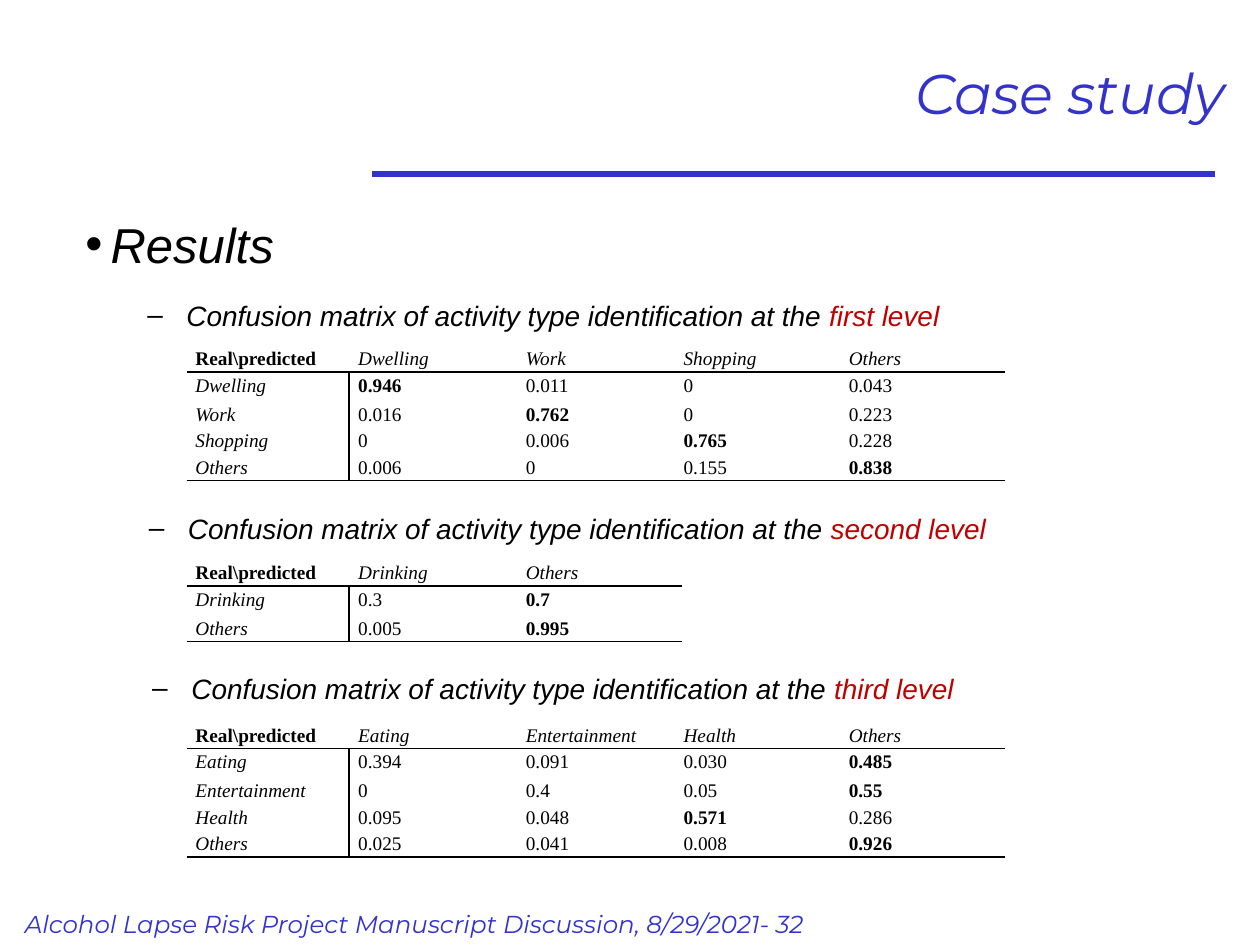
from dataclasses import dataclass

from lxml import etree
from pptx import Presentation
from pptx.dml.color import RGBColor
from pptx.enum.text import MSO_ANCHOR as Anchor, MSO_AUTO_SIZE as AutoSize, PP_ALIGN as Align
from pptx.oxml.ns import qn
from pptx.slide import Slide
from pptx.util import Cm, Pt

COLORS = {"accent": "3333CC", "text": "000000", "level": "C00000"}
HEADING_FONT, BODY_FONT, TABLE_FONT = "Montserrat", "Arial", "Times New Roman"

TABLE_LEFT = 3.76
LABEL_WIDTH, FIRST_WIDTH, MIDDLE_WIDTH, LAST_WIDTH = 3.28, 3.38, 3.18, 3.33
ROW_HEIGHT, FIRST_ROW_HEIGHT = 0.46, 0.58

# level, caption (left, top, width), table top, classes, matrix values
LEVELS = [
    ("first level", (1.88, 5.61, 17.53), 6.96,
     ["Dwelling", "Work", "Shopping", "Others"],
     [["0.946", "0.011", "0", "0.043"],
      ["0.016", "0.762", "0", "0.223"],
      ["0", "0.006", "0.765", "0.228"],
      ["0.006", "0", "0.155", "0.838"]]),
    ("second level", (1.91, 9.91, 18.44), 11.28,
     ["Drinking", "Others"],
     [["0.3", "0.7"],
      ["0.005", "0.995"]]),
    ("third level", (1.98, 13.13, 18.03), 14.55,
     ["Eating", "Entertainment", "Health", "Others"],
     [["0.394", "0.091", "0.030", "0.485"],
      ["0", "0.4", "0.05", "0.55"],
      ["0.095", "0.048", "0.571", "0.286"],
      ["0.025", "0.041", "0.008", "0.926"]]),
]


def rgb(name):
    return RGBColor.from_string(COLORS[name])


def set_font(font, name, size, color="text", bold=False, italic=True):
    font.name, font.size = name, Pt(size)
    font.bold, font.italic = bold, italic
    font.color.rgb = rgb(color)


def set_bullet(paragraph, char, margin, indent):
    """Hang a bullet character; margin and indent are in centimetres."""
    properties = paragraph._p.get_or_add_pPr()
    properties.set("marL", str(Cm(margin)))
    properties.set("indent", str(Cm(indent)))
    etree.SubElement(properties, qn("a:buFont"), typeface=BODY_FONT)
    etree.SubElement(properties, qn("a:buChar"), char=char)


def set_borders(cell, black_sides):
    """Rule the given sides (of "LRTB") in black and clear the others."""
    properties = cell._tc.get_or_add_tcPr()
    for side in "LRTB":
        border = etree.SubElement(properties, qn(f"a:ln{side}"), w=str(Pt(1)))
        if side in black_sides:
            fill = etree.SubElement(border, qn("a:solidFill"))
            etree.SubElement(fill, qn("a:srgbClr"), val=COLORS["text"])
        else:
            etree.SubElement(border, qn("a:noFill"))


@dataclass
class SlideBuilder:
    slide: Slide

    def rule(self, left, right, y, width):
        line = self.slide.shapes.add_connector(1, Cm(right), Cm(y), Cm(left), Cm(y))
        line.line.color.rgb = rgb("accent")
        line.line.width = Pt(width)
        etree.SubElement(line._element.spPr, qn("a:effectLst"))

    def text(self, left, top, width, height, parts, font, size, color="text",
             anchor=Anchor.TOP, align=Align.LEFT, grow=False):
        """Add one paragraph of (words, colour or None) parts and return it."""
        frame = self.slide.shapes.add_textbox(
            Cm(left), Cm(top), Cm(width), Cm(height)).text_frame
        frame.word_wrap = True
        frame.vertical_anchor = anchor
        frame.auto_size = AutoSize.SHAPE_TO_FIT_TEXT if grow else AutoSize.NONE
        paragraph = frame.paragraphs[0]
        paragraph.alignment = align
        set_font(paragraph.font, font, size, color)
        for words, part_color in parts:
            run = paragraph.add_run()
            run.text = words
            if part_color:
                run.font.color.rgb = rgb(part_color)
        return paragraph

    def bullet(self, left, top, width, height, parts, size, char, margin, indent, **layout):
        paragraph = self.text(left, top, width, height, parts, BODY_FONT, size, **layout)
        paragraph.line_spacing = 1.5
        set_bullet(paragraph, char, margin, indent)

    def confusion_matrix(self, top, classes, values):
        """Add a matrix whose largest value in each row is bold."""
        widths = [LABEL_WIDTH, FIRST_WIDTH,
                  *[MIDDLE_WIDTH, LAST_WIDTH][:len(classes) - 2], LAST_WIDTH]
        heights = [ROW_HEIGHT, FIRST_ROW_HEIGHT] + [ROW_HEIGHT] * (len(classes) - 1)
        table = self.slide.shapes.add_table(
            len(heights), len(widths), Cm(TABLE_LEFT), Cm(top),
            Cm(sum(widths)), Cm(sum(heights))).table
        table.first_row = table.horz_banding = False
        for column, width in zip(table.columns, widths):
            column.width = Cm(width)
        for row, height in zip(table.rows, heights):
            row.height = Cm(height)

        rows = [["Real\\predicted", *classes]]
        rows += [[name, *numbers] for name, numbers in zip(classes, values)]
        for r, row in enumerate(rows):
            largest = max(row[1:], key=float) if r else row[0]
            for c, words in enumerate(row):
                sides = "B" if r in (0, len(classes)) else ""
                if r:
                    sides += ("T" if r == 1 else "") + {0: "R", 1: "L"}.get(c, "")
                bold = words == largest
                self.cell(table.cell(r, c), words, sides, bold,
                          italic=not bold and (r == 0 or c == 0))

    def cell(self, cell, words, sides, bold, italic):
        cell.margin_left = cell.margin_right = Cm(0.18)
        cell.margin_top = cell.margin_bottom = 0
        set_borders(cell, sides)
        cell.fill.background()
        cell.text = words
        paragraph = cell.text_frame.paragraphs[0]
        paragraph.alignment = Align.JUSTIFY
        paragraph.line_spacing = 1.15
        paragraph.space_before = Pt(6)
        set_font(paragraph.font, TABLE_FONT, 11, bold=bold, italic=italic)


def main():
    deck = Presentation()
    deck.slide_width, deck.slide_height = Cm(25.4), Cm(19.05)
    page = SlideBuilder(deck.slides.add_slide(deck.slide_layouts[6]))

    page.rule(7.49, 24.49, 3.51, 3)
    page.text(0.25, 18.21, 18.24, 0.86,
              [("Alcohol Lapse Risk Project Manuscript Discussion, 8/29/2021- 32", None)],
              HEADING_FONT, 14, "accent", grow=True)
    page.text(1.88, 0.36, 23.06, 3, [("Case study", None)], HEADING_FONT, 32, "accent",
              anchor=Anchor.MIDDLE, align=Align.RIGHT)
    page.bullet(1.47, 3.61, 23.06, 13.97, [("Results", None)], 28, "•", 0.51, -0.97)

    for level, (left, top, width), table_top, classes, values in LEVELS:
        page.confusion_matrix(table_top, classes, values)
        caption = [("Confusion matrix of activity type identification at the ", None),
                   (level, "level")]
        page.bullet(left, top, width, 1.14, caption, 16, "–", 1.63, -0.79,
                    anchor=Anchor.MIDDLE, grow=True)

    deck.save("out.pptx")


if __name__ == "__main__":
    main()
